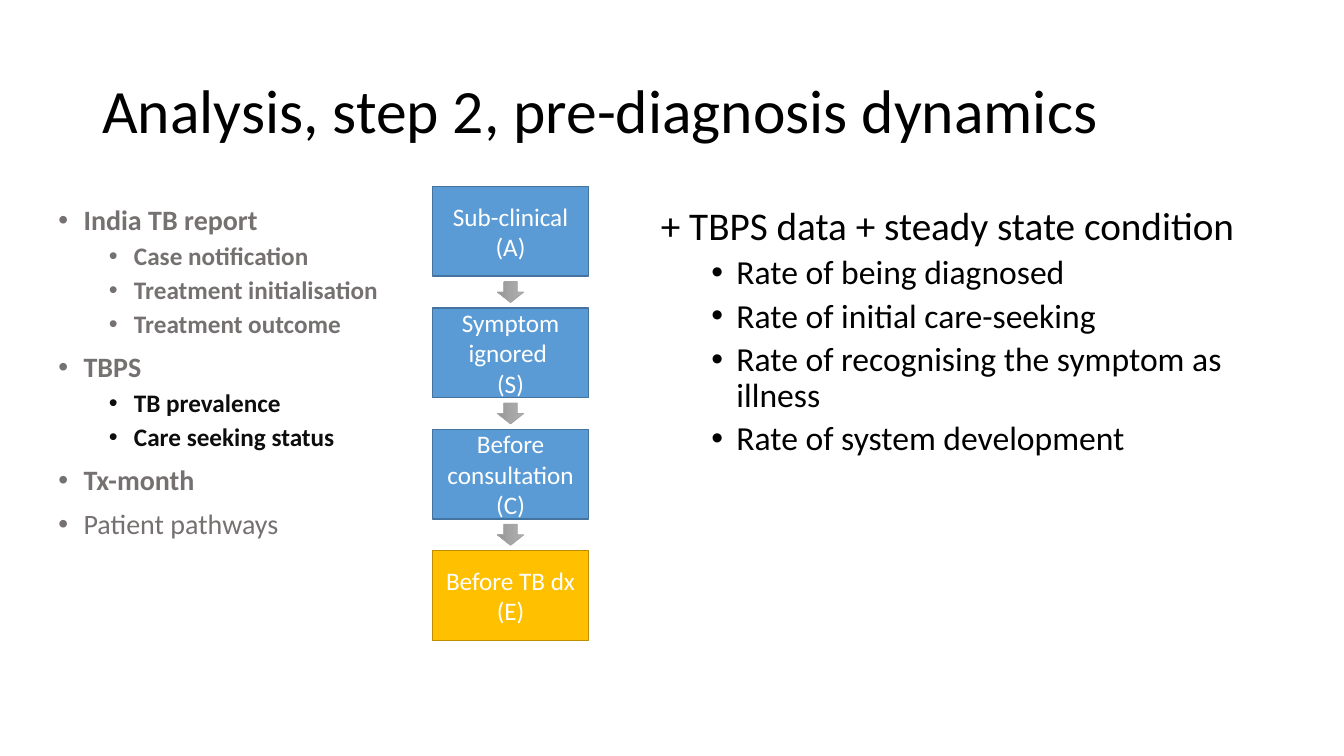
from lxml import etree
from pptx import Presentation
from pptx.dml.color import RGBColor
from pptx.enum.shapes import MSO_SHAPE
from pptx.enum.text import MSO_ANCHOR, PP_ALIGN
from pptx.oxml.ns import qn
from pptx.util import Pt

COLORS = {
    "title": "000000", "muted": "767171", "strong": "0D0D0D", "box_text": "FFFFFF",
    "stage": "5B9BD5", "stage_line": "43739E",
    "final": "FFC000", "final_line": "BD8E00",
    "arrow_light": "AFAFAF", "arrow": "A5A5A5", "arrow_dark": "939393",
}

# Each entry: text, level (None for no bullet), font values, colour
MUTED_HEAD = {"size": Pt(20), "bold": True}
MUTED_ITEM = {"size": Pt(18), "bold": True}
SOURCES = [
    ("India TB report", 0, MUTED_HEAD, "muted"),
    ("Case notification", 1, MUTED_ITEM, "muted"),
    ("Treatment initialisation", 1, MUTED_ITEM, "muted"),
    ("Treatment outcome", 1, MUTED_ITEM, "muted"),
    ("TBPS", 0, MUTED_HEAD, "muted"),
    ("TB prevalence", 1, MUTED_ITEM, "strong"),
    ("Care seeking status", 1, MUTED_ITEM, "strong"),
    ("Tx-month", 0, MUTED_HEAD, "muted"),
    ("Patient pathways", 0, {"size": Pt(20), "bold": False}, "muted"),
]
RATES = [("+ TBPS data + steady state condition", None, {"size": Pt(28)}, "title")] + [
    (rate, 1, {"size": Pt(24)}, "title")
    for rate in (
        "Rate of being diagnosed",
        "Rate of initial care-seeking",
        "Rate of recognising the symptom as illness",
        "Rate of system development",
    )
]
STAGES = [
    (["Sub-clinical (A)"], "stage"),
    (["Symptom ignored ", "(S)"], "stage"),
    (["Before consultation", "(C)"], "stage"),
    (["Before TB dx", "(E)"], "final"),
]


def color(name):
    return RGBColor.from_string(COLORS[name])


def apply_format(target, values):
    for name, value in values.items():
        setattr(target, name, value)


def write_run(paragraph, text, font_values, color_name):
    run = paragraph.add_run()
    run.text = text
    apply_format(run.font, {"name": "Calibri", **font_values})
    run.font.color.rgb = color(color_name)


def add_bullet(paragraph, level):
    """Give the paragraph a hanging bullet at its level's indent."""
    properties = paragraph._p.get_or_add_pPr()
    properties.set("marL", str(Pt(18 + 36 * level)))
    properties.set("indent", str(Pt(-18)))
    bullet_font = etree.SubElement(properties, qn("a:buFont"))
    bullet_font.set("typeface", "Arial")
    etree.SubElement(properties, qn("a:buChar")).set("char", "•")


def add_text(slide, box, entries, anchor=MSO_ANCHOR.TOP):
    frame = slide.shapes.add_textbox(*map(Pt, box)).text_frame
    apply_format(frame, {"word_wrap": True, "vertical_anchor": anchor})
    for index, (text, level, font_values, color_name) in enumerate(entries):
        paragraph = frame.add_paragraph() if index else frame.paragraphs[0]
        apply_format(paragraph, {
            "level": level or 0,
            "line_spacing": 0.9,
            "space_before": Pt(5 if level else 10),
        })
        if level is not None:
            add_bullet(paragraph, level)
        write_run(paragraph, text, font_values, color_name)


def add_title(slide, box, title):
    add_text(slide, box, [(title, None, {"size": Pt(44)}, "title")], MSO_ANCHOR.MIDDLE)


def add_stage(slide, box, lines, kind):
    stage = slide.shapes.add_shape(MSO_SHAPE.RECTANGLE, *map(Pt, box))
    stage.shadow.inherit = False
    stage.fill.solid()
    stage.fill.fore_color.rgb = color(kind)
    stage.line.color.rgb = color(kind + "_line")
    stage.line.width = Pt(1)
    frame = stage.text_frame
    apply_format(frame, {"word_wrap": True, "vertical_anchor": MSO_ANCHOR.MIDDLE})
    for index, line in enumerate(lines):
        paragraph = frame.add_paragraph() if index else frame.paragraphs[0]
        paragraph.alignment = PP_ALIGN.CENTER
        write_run(paragraph, line, {"size": Pt(18)}, "box_text")


def add_down_arrow(slide, center_x, center_y, length=15, breadth=19):
    arrow = slide.shapes.add_shape(
        MSO_SHAPE.RIGHT_ARROW,
        Pt(center_x - length / 2), Pt(center_y - breadth / 2), Pt(length), Pt(breadth),
    )
    arrow.rotation = 90
    arrow.shadow.inherit = False
    arrow.line.color.rgb = color("arrow")
    arrow.line.width = Pt(0.5)
    arrow.fill.gradient()
    arrow.fill.gradient_angle = 270  # counter-clockwise, so 90 clockwise
    stops = arrow._element.spPr.find(qn("a:gradFill")).find(qn("a:gsLst"))
    for stop in list(stops):
        stops.remove(stop)
    for percent, name in ((0, "arrow_light"), (50, "arrow"), (100, "arrow_dark")):
        stop = etree.SubElement(stops, qn("a:gs"), pos=str(percent * 1000))
        etree.SubElement(stop, qn("a:srgbClr"), val=COLORS[name])


def add_stage_flow(slide, box, stages, gap=22.6):
    """Stack the stages evenly in the box with an arrow in each gap."""
    left, top, width, height = box
    stage_height = (height - gap * (len(stages) - 1)) / len(stages)
    for index, (lines, kind) in enumerate(stages):
        stage_top = top + index * (stage_height + gap)
        add_stage(slide, (left, stage_top, width, stage_height), lines, kind)
        if index:
            add_down_arrow(slide, left + width / 2, stage_top - gap / 2)


def main():
    presentation = Presentation()
    presentation.slide_width, presentation.slide_height = Pt(960), Pt(540)
    slide = presentation.slides.add_slide(presentation.slide_layouts[6])
    add_title(slide, (66, 28.8, 828, 104.4), "Analysis, step 2, pre-diagnosis dynamics")
    add_text(slide, (465, 144, 429, 342.7), RATES)
    add_text(slide, (34.6, 144, 251.3, 342.7), SOURCES)
    add_stage_flow(slide, (308.9, 133.2, 111.6, 324.2), STAGES)
    presentation.save("out.pptx")


if __name__ == "__main__":
    main()
